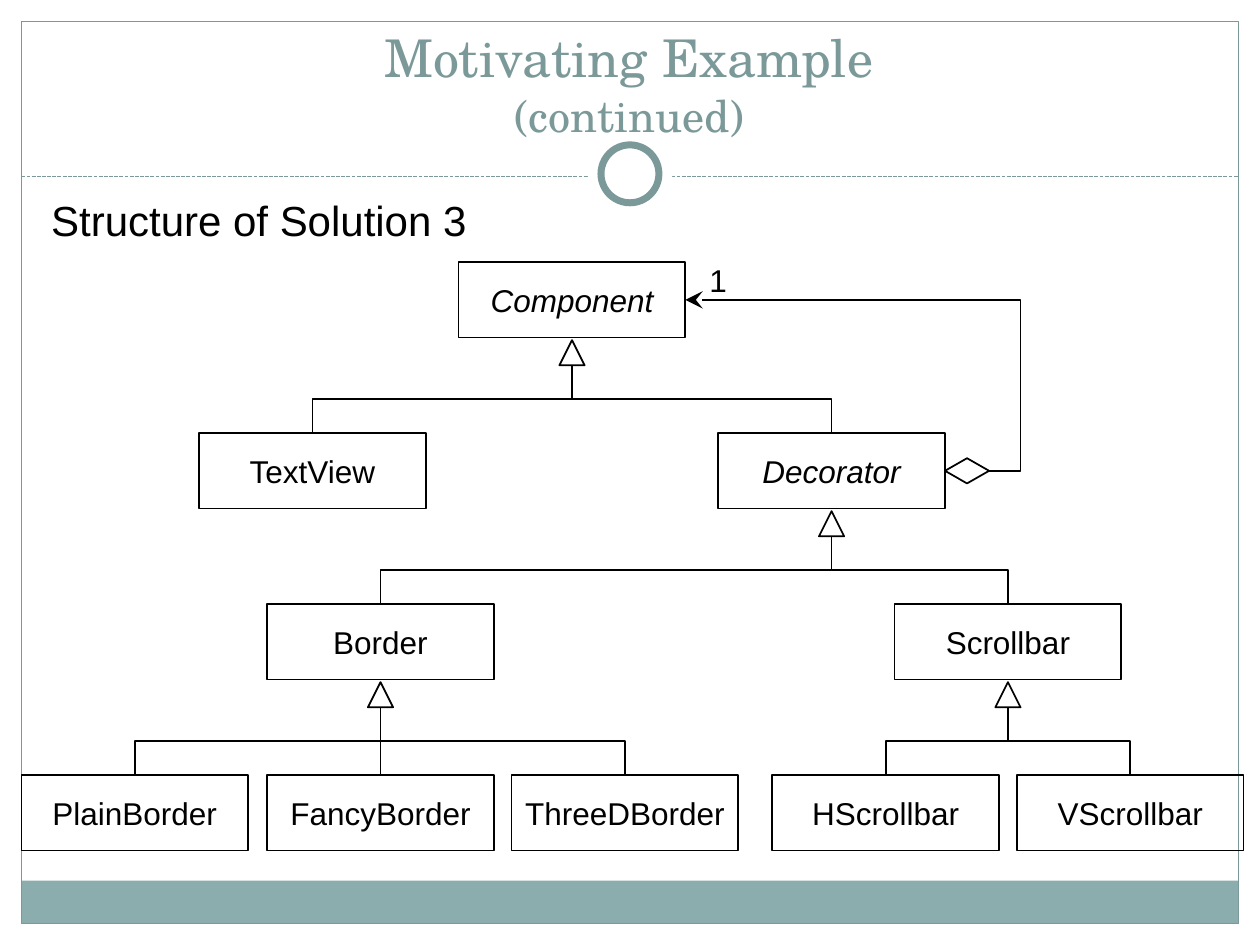
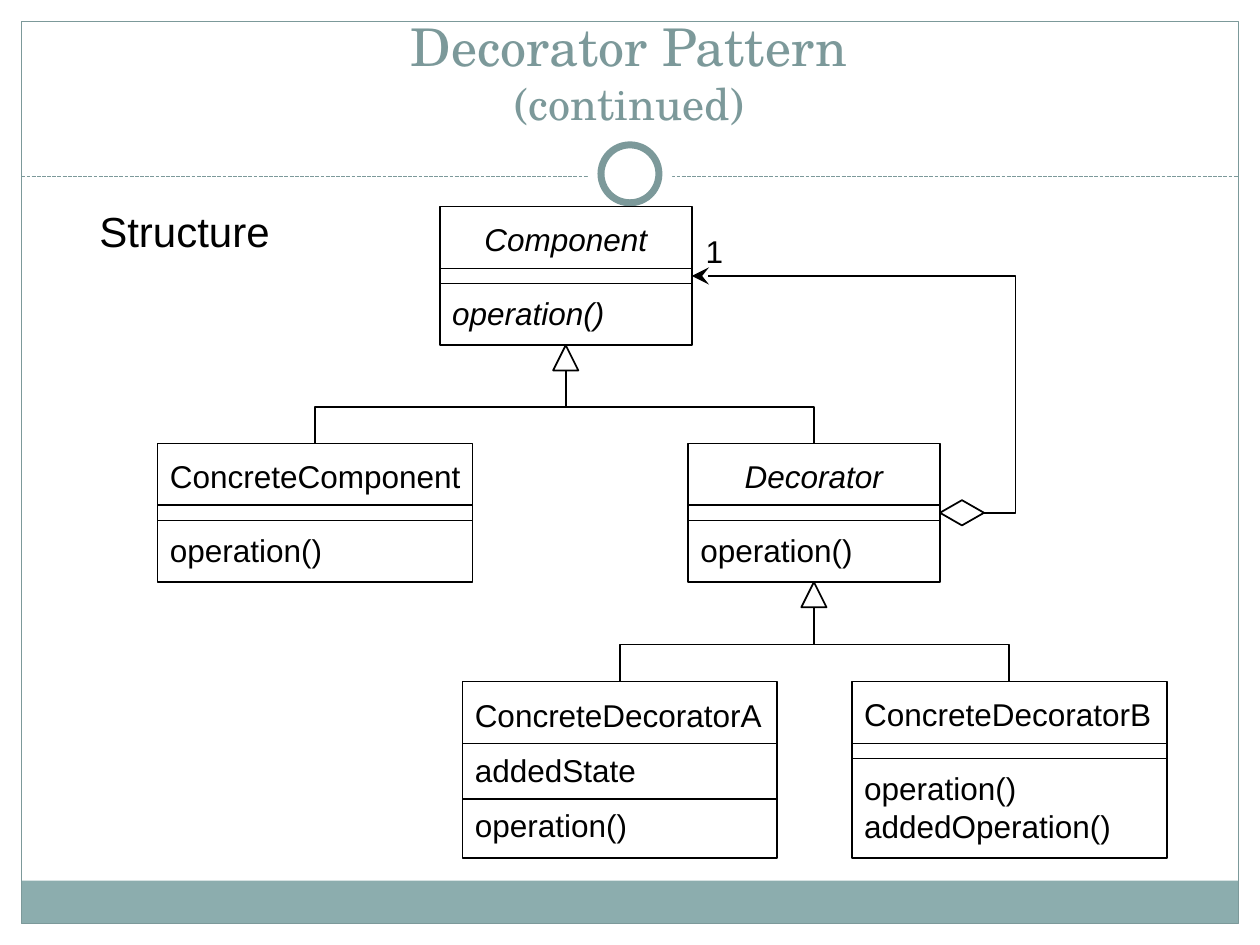
from dataclasses import dataclass

from lxml import etree
from pptx import Presentation
from pptx import util as u
from pptx.dml import color
from pptx.enum import dml, shapes, text
from pptx.oxml import ns


@dataclass(frozen=True)
class Theme:
    ink: str = "000000"
    accent: str = "7C999A"
    band: str = "8CADAE"
    paper: str = "FFFFFF"
    title_font: str = "TeX Gyre Schola"
    body_font: str = "Arial"
    title_size: float = 29.7
    subtitle_size: float = 25.2
    caption_size: float = 24
    body_size: float = 18
    line_gap: float = 21
    section_gap: float = 10


@dataclass(frozen=True)
class UmlClass:
    name: str
    left: float
    top: float
    width: float
    height: float
    parent: str = ""
    abstract: bool = False
    members: tuple = ()  # (text, format) pairs
    dividers: tuple = ()  # rows below the top of the box

    @property
    def center(self):
        return self.left + self.width / 2

    @property
    def middle(self):
        return self.top + self.height / 2

    @property
    def right(self):
        return self.left + self.width

    @property
    def bottom(self):
        return self.top + self.height


THEME = Theme()
deck = Presentation()
deck.slide_width, deck.slide_height = u.Inches(10), u.Inches(7.5)
COLUMN = deck.slide_width / 100
ROW = deck.slide_height / 75
SHAPE = shapes.MSO_SHAPE
CENTER, LEFT = text.PP_ALIGN.CENTER, text.PP_ALIGN.LEFT


def add_box(page, kind, at, lines=(), fill=None, line=None, weight=1, wrap=False,
            right_inset=1, anchor=text.MSO_ANCHOR.MIDDLE, **defaults):
    """Add a shape, or a text box if kind is None; each line is (text, format)."""
    left, top, width, height = at
    place = [round(n) for n in (left * COLUMN, top * ROW, width * COLUMN, height * ROW)]
    if kind is None:
        box = page.shapes.add_textbox(*place)
    else:
        box = page.shapes.add_shape(kind, *place)
        box.shadow.inherit = False
        if fill:
            box.fill.solid()
            box.fill.fore_color.rgb = color.RGBColor.from_string(fill)
        else:
            box.fill.background()
        if line:
            box.line.color.rgb = color.RGBColor.from_string(line)
            box.line.width = u.Pt(weight)
        else:
            box.line.fill.background()
    frame = box.text_frame
    frame.word_wrap, frame.vertical_anchor = wrap, anchor
    frame.margin_right = round(right_inset * COLUMN)
    for index, (words, changes) in enumerate(lines):
        style = {"size": THEME.body_size, "font": THEME.body_font, "ink": THEME.ink,
                 "italic": False, "align": CENTER, "before": 0} | defaults | changes
        para = frame.add_paragraph() if index else frame.paragraphs[0]
        para.alignment, para.space_before = style["align"], u.Pt(style["before"])
        span = para.add_run()
        span.text = words
        span.font.name, span.font.size = style["font"], u.Pt(style["size"])
        span.font.italic = style["italic"]
        span.font.color.rgb = color.RGBColor.from_string(style["ink"])
    return box


def connect(page, start, end, ink=THEME.ink, weight=1, tree=False, bend=None):
    """Join two points; tree bends go down, across, down; bend shifts a sideways elbow."""
    (x1, y1), (x2, y2) = [(x * COLUMN, y * ROW) for x, y in (start, end)]
    straight = abs(x1 - x2) < 1 or y1 == y2
    kind = shapes.MSO_CONNECTOR.STRAIGHT if straight else shapes.MSO_CONNECTOR.ELBOW
    turned = tree and not straight
    side = 1 if x2 < x1 else -1
    if turned:  # lay the elbow on its side, then rotate it about its middle
        x, y = (x1 + x2) / 2, (y1 + y2) / 2
        drop, reach = (y2 - y1) / 2, abs(x2 - x1) / 2
        x1, y1, x2, y2 = x - side * drop, y - reach, x + side * drop, y + reach
    link = page.shapes.add_connector(kind, *[round(n) for n in (x1, y1, x2, y2)])
    link.line.color.rgb = color.RGBColor.from_string(ink)
    link.line.width = u.Pt(weight)
    properties = link._element.spPr
    etree.SubElement(properties, ns.qn("a:effectLst"))
    if turned:
        properties.find(ns.qn("a:xfrm")).set("rot", str((90 if side > 0 else 270) * 60000))
    if bend is not None:
        guides = properties.find(ns.qn("a:prstGeom")).find(ns.qn("a:avLst"))
        etree.SubElement(guides, ns.qn("a:gd"), name="adj1", fmla=f"val {round(bend * 100000)}")
    return link


# Solution 3: equal boxes on four levels
levels = [20.8 + 13.57 * level for level in range(4)]
solution = [
    UmlClass(name, left, levels[level], 18, 6, parent, name in ("Component", "Decorator"))
    for name, left, level, parent in [
        ("Component", 36.4, 0, ""),
        ("TextView", 15.8, 1, "Component"),
        ("Decorator", 57, 1, "Component"),
        ("Border", 21.2, 2, "Decorator"),
        ("Scrollbar", 71, 2, "Decorator"),
        ("PlainBorder", 1.7, 3, "Border"),
        ("FancyBorder", 21.2, 3, "Border"),
        ("ThreeDBorder", 40.6, 3, "Border"),
        ("HScrollbar", 61.3, 3, "Scrollbar"),
        ("VScrollbar", 80.7, 3, "Scrollbar"),
    ]
]

# The pattern: boxes with a name, state and operations
after_blank = {"before": THEME.line_gap}
next_section = {"before": THEME.section_gap}
operation = ("operation()", after_blank)
empty_state = (4.9, 6.1)
pattern = [
    UmlClass("Component", 34.9, 16.4, 20, 11, "", True,
             (("operation()", after_blank | {"italic": True}),), empty_state),
    UmlClass("ConcreteComponent", 12.5, 35.2, 25, 11, "Component", False,
             (operation,), empty_state),
    UmlClass("Decorator", 54.6, 35.2, 20, 11, "Component", True,
             (operation,), empty_state),
    UmlClass("ConcreteDecoratorA", 36.7, 54.1, 25, 14, "Decorator", False,
             (("addedState", next_section), ("operation()", next_section)), (4.9, 9.3)),
    UmlClass("ConcreteDecoratorB", 67.6, 54.1, 25, 14, "Decorator", False,
             (operation, ("addedOperation()", {})), empty_state),
]

# title, title top, caption, caption place, diagram, tip gap, place of "1"
diagrams = [
    ("Motivating Example", 3.4, "Structure of Solution 3", (2.9, 14.9, 35.3, 5),
     solution, 0.2, (55.3, 20.2, 3.4, 4)),
    ("Decorator Pattern", 2.5, "Structure", (6.8, 15.8, 15.7, 5),
     pattern, 0, (55, 17.9, 3.4, 4)),
]

for title, title_top, caption, caption_place, classes, tip_gap, one_place in diagrams:
    page = deck.slides.add_slide(deck.slide_layouts[6])

    # Frame, footer band, dashed rule and ring
    add_box(page, SHAPE.RECTANGLE, (1.7, 69.9, 96.6, 3.4), fill=THEME.band)
    add_box(page, SHAPE.RECTANGLE, (1.7, 1.7, 96.6, 71.6), line=THEME.accent, weight=0.75)
    rule = connect(page, (1.7, 14), (98.3, 14), ink=THEME.accent, weight=0.75)
    rule.line.dash_style = dml.MSO_LINE.SQUARE_DOT
    add_box(page, SHAPE.OVAL, (46.65, 10.5, 6.7, 6.7), fill=THEME.paper)
    add_box(page, SHAPE.OVAL, (47.7, 11.5, 4.6, 4.6), fill=THEME.paper,
            line=THEME.accent, weight=4)

    add_box(page, None, (3.3, title_top, 93.3, 8.3),
            [(title, {"size": THEME.title_size}), ("(continued)", {"size": THEME.subtitle_size})],
            font=THEME.title_font, ink=THEME.accent, wrap=True, anchor=text.MSO_ANCHOR.BOTTOM)
    add_box(page, None, caption_place, [(caption, {})], size=THEME.caption_size)

    # Class boxes and inheritance trees
    by_name = {item.name: item for item in classes}
    for item in classes:
        centered = item.abstract or not item.members
        name_style = {"italic": item.abstract, "align": CENTER if centered else LEFT}
        add_box(page, SHAPE.RECTANGLE, (item.left, item.top, item.width, item.height),
                [(item.name, name_style), *item.members], line=THEME.ink,
                wrap=bool(item.members), right_inset=1 if centered else 0, align=LEFT)
        for offset in item.dividers:
            height = item.top + offset
            connect(page, (item.left, height), (item.right, height))

        children = [child for child in classes if child.parent == item.name]
        if children:
            tip = item.bottom + tip_gap
            add_box(page, SHAPE.ISOSCELES_TRIANGLE, (item.center - 1, tip, 2, 2), line=THEME.ink)
        for child in children:
            connect(page, (item.center, tip + 2), (child.center, child.top), tree=True)

    # The decorator holds one component
    component, decorator = by_name["Component"], by_name["Decorator"]
    add_box(page, SHAPE.FLOWCHART_DECISION,
            (decorator.right, decorator.middle - 1, 3.5, 2), line=THEME.ink)
    start = decorator.right + 3.5
    holds = connect(page, (start, decorator.middle), (component.right, component.middle),
                    bend=-2.5 / (start - component.right))
    etree.SubElement(holds.line._get_or_add_ln(), ns.qn("a:tailEnd"),
                     type="stealth", w="lg", len="lg")
    add_box(page, None, one_place, [("1", {})])

deck.save("out.pptx")
